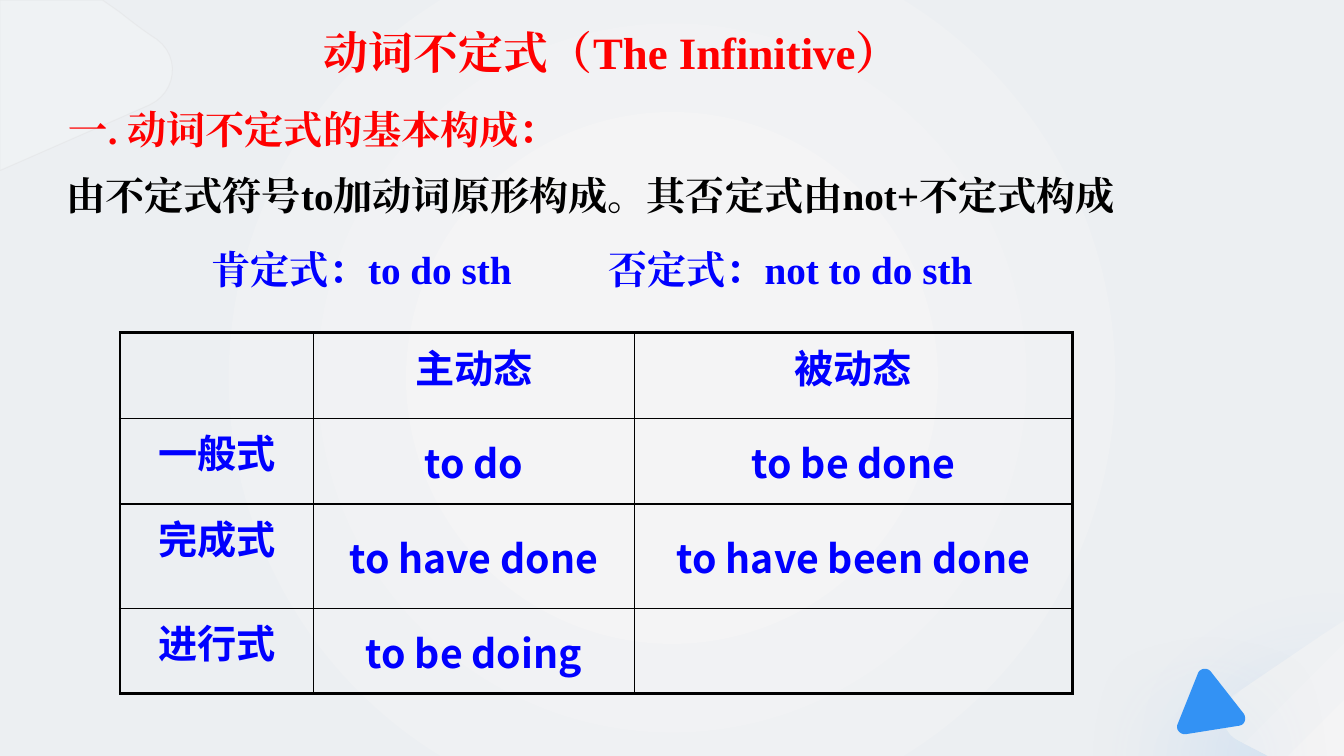
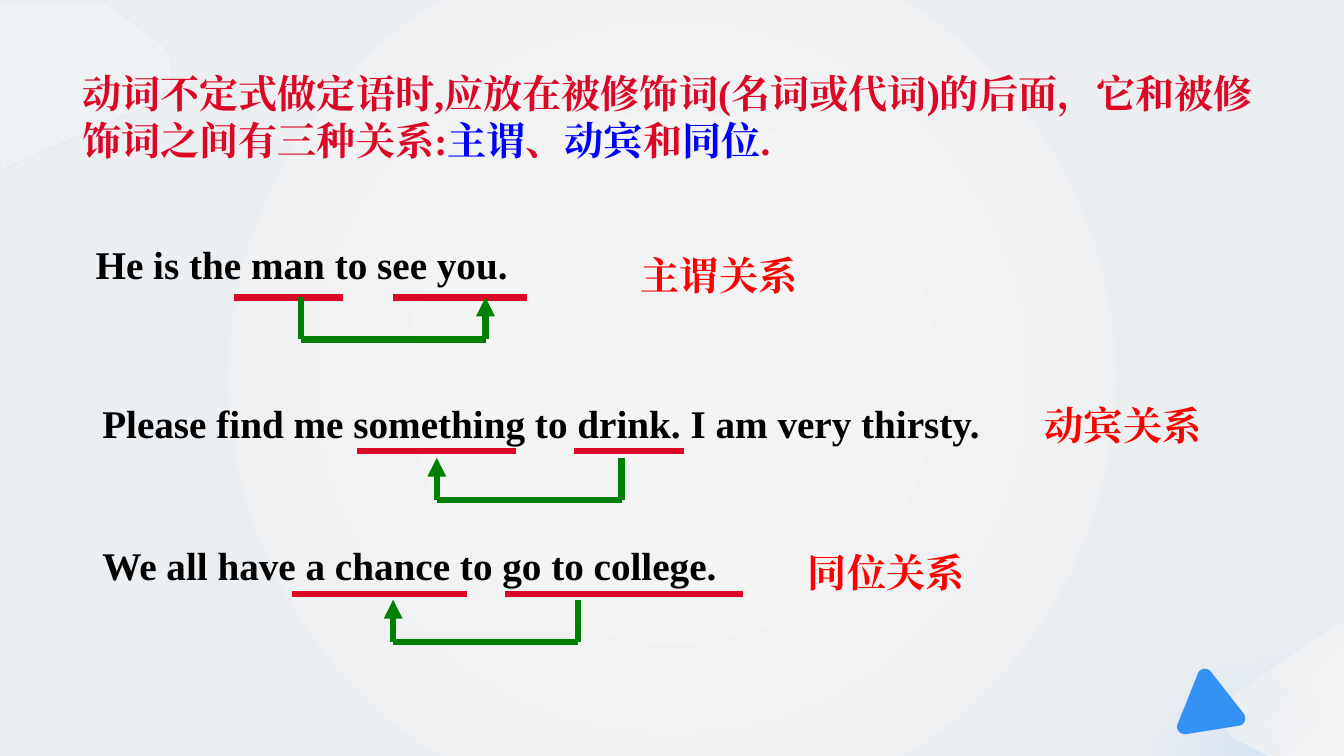
"""Build two grammar slides on the infinitive, laid out on a grid of 160 columns by 90 rows."""
import dataclasses

import lxml.etree
import pptx
import pptx.dml.color
import pptx.enum.shapes
import pptx.enum.text
import pptx.oxml
import pptx.oxml.ns
import pptx.util


@dataclasses.dataclass(frozen=True)
class Theme:
    red: str = "FF0000"
    crimson: str = "DC0726"
    blue: str = "0000FF"
    green: str = "008000"
    black: str = "000000"
    white: str = "FFFFFF"
    edge: str = "D0CECE"
    accent: str = "3392F4"
    accent_dark: str = "0C77E2"
    light: str = "F4F4F5"
    mist: str = "ECEFF2"
    serif: str = "Times New Roman"
    sans: str = "Noto Sans CJK SC"
    title: int = 32
    body: int = 28
    stroke: float = 4.5
    thick: float = 2.25
    thin: float = 1


T = Theme()
RGB = pptx.dml.color.RGBColor.from_string
Pt = pptx.util.Pt
qn = pptx.oxml.ns.qn
NS = pptx.oxml.ns.nsdecls("a")
ALIGN = pptx.enum.text.PP_ALIGN
ANCHOR = pptx.enum.text.MSO_ANCHOR

prs = pptx.Presentation()
prs.slide_width = pptx.util.Emu(12192000)
prs.slide_height = pptx.util.Emu(6858000)
U = prs.slide_width // 160


def write(tf, runs, size=T.body, font=T.serif, align=ALIGN.LEFT):
    """Fill the first paragraph of a text frame with (text, colour) runs."""
    p = tf.paragraphs[0]
    p.alignment = align
    for text, color in runs:
        r = p.add_run()
        r.text = text
        r.font.size = Pt(size)
        r.font.bold = True
        r.font.color.rgb = RGB(color)
        r.font.name = font
        lxml.etree.SubElement(r.font._element, qn("a:ea"), typeface=font)
    return p


def line(shapes, x1, y1, x2, y2, color, arrow=False):
    """Draw a straight stroke between two grid points."""
    ends = [int(v * U) for v in (x1, y1, x2, y2)]
    cxn = shapes.add_connector(pptx.enum.shapes.MSO_CONNECTOR.STRAIGHT, *ends)
    cxn.line.color.rgb = RGB(color)
    cxn.line.width = Pt(T.stroke)
    spPr = cxn.element.spPr
    if arrow:
        lxml.etree.SubElement(spPr.find(qn("a:ln")), qn("a:tailEnd"), type="triangle")
    lxml.etree.SubElement(spPr, qn("a:effectLst"))


layout = prs.slide_layouts[6]
for ph in list(layout.placeholders):
    ph.element.getparent().remove(ph.element)
s1, s2 = [prs.slides.add_slide(layout) for _ in range(2)]

backdrop = s1.shapes.add_shape(pptx.enum.shapes.MSO_SHAPE.RECTANGLE, 0, 0, prs.slide_width, prs.slide_height)
backdrop.shadow.inherit = False
backdrop.line.fill.background()
backdrop.fill.gradient()
stops = "".join(
    f'<a:gs pos="{pos}000"><a:srgbClr val="{color}"/></a:gs>'
    for pos, color in ((0, T.light), (23, T.light), (69, T.mist), (100, T.mist))
)
spPr = backdrop.element.spPr
spPr.replace(spPr.find(qn("a:gradFill")), pptx.oxml.parse_xml(
    f'<a:gradFill {NS}><a:gsLst>{stops}</a:gsLst><a:path path="circle">'
    '<a:fillToRect l="50000" t="50000" r="50000" b="50000"/></a:path></a:gradFill>'))

outlines = [
    [(0, 0), (12.2, 0), (14.2, 1.4), (15.6, 2.5, 17, 3.6, 18.7, 4.7),
     (21.5, 6.8, 21, 11, 17.8, 12.5), (2.3, 19.3), (0, 20.3)],
    [(160, 73.9), (160, 90), (151, 90), (147.5, 88.2),
     (145.2, 87.1, 145, 84, 147.1, 82.6), (157.4, 75.6)],
    [(142.6, 80.2), (140.2, 86.2), (139.9, 86.8, 140.5, 87.5, 141.2, 87.4),
     (147.5, 86.4), (148.2, 86.3, 148.4, 85.6, 148.1, 85), (144.1, 79.9),
     (143.6, 79.4, 142.8, 79.6, 142.6, 80.2)],
]
decor = []
for outline in outlines:
    points = [outline[0]]
    for step in outline[1:]:
        if len(step) == 2:
            points.append(step)
            continue
        x0, y0 = points[-1]
        x1, y1, x2, y2, x3, y3 = step
        for t in [i / 12 for i in range(1, 13)]:
            a, b, c, d = (1 - t) ** 3, 3 * t * (1 - t) ** 2, 3 * t * t * (1 - t), t ** 3
            points.append((a * x0 + b * x1 + c * x2 + d * x3, a * y0 + b * y1 + c * y2 + d * y3))
    points = [(round(x * U), round(y * U)) for x, y in points]
    builder = s1.shapes.build_freeform(*points[0])
    builder.add_line_segments(points[1:], close=True)
    sp = builder.convert_to_shape()
    sp.shadow.inherit = False
    sp.line.fill.background()
    decor.append(sp)

corner, wedge, triangle = decor
corner.fill.solid()
corner.fill.fore_color.rgb = RGB(T.white)
corner.line.color.rgb = RGB(T.edge)
corner.line.width = Pt(0.75)
for clr in list(corner.element.spPr.iter(qn("a:srgbClr"))):
    lxml.etree.SubElement(clr, qn("a:alpha"), val="20000")
wedge.fill.gradient()
wedge.fill.gradient_angle = 315
for stop, pos, color in zip(wedge.fill.gradient_stops, (0.12, 1), (T.mist, T.light)):
    stop.position = pos
    stop.color.rgb = RGB(color)
triangle.fill.solid()
triangle.fill.fore_color.rgb = RGB(T.accent)
for sp, color in ((wedge, T.accent), (triangle, T.accent_dark)):
    sp.element.spPr.find(qn("a:effectLst")).append(pptx.oxml.parse_xml(
        f'<a:outerShdw {NS} blurRad="{Pt(84)}" dist="{Pt(34)}" dir="5400000" algn="t" rotWithShape="0">'
        f'<a:srgbClr val="{color}"><a:alpha val="20000"/></a:srgbClr></a:outerShdw>'))
for sp in [backdrop] + decor:
    layout.shapes.element.append(sp.element)

sentences = [
    ("He is the man to see you.", 10.2, 28, "主谓关系", 75.1, 29.3,
     35.4, [(27.8, 40.8), (46.8, 62.8)], 35.4, 35.8, 57.8),
    ("Please find me something to drink. I am very thirsty.", 11, 46.9, "动宾关系", 123.2, 47.2,
     53.7, [(42.5, 61.4), (68.3, 81.4)], 54.5, 74, 52),
    ("We all have a chance to go to college.", 11, 63.8, "同位关系", 95, 64.7,
     70.7, [(34.8, 55.6), (60.1, 88.4)], 71.4, 68.8, 46.8),
]
boxes = [
    (s1, 7, 12, 70, 6.8, [("一. 动词不定式的基本构成：", T.red)]),
    (s1, 6.7, 19.8, 140, 6.8, [("由不定式符号to加动词原形构成。其否定式由not+不定式构成", T.black)]),
    (s1, 24, 28.6, 44, 6.8, [("肯定式：to do sth", T.blue)]),
    (s1, 71.2, 28.6, 64, 6.8, [("否定式：not to do sth", T.blue)]),
    (s2, 8.6, 7.7, 146.2, 12.5, [
        ("动词不定式做定语时,应放在被修饰词(名词或代词)的后面，它和被修饰词之间有三种关系:", T.crimson),
        ("主谓", T.blue), ("、", T.crimson), ("动宾", T.blue), ("和", T.crimson),
        ("同位", T.blue), (".", T.crimson)]),
]
for text, x, y, relation, rx, ry, *_ in sentences:
    boxes.append((s2, x, y, 110, 6.8, [(text, T.black)]))
    boxes.append((s2, rx, ry, 28, 6.8, [(relation, T.red)]))
for s, *box, runs in boxes:
    tf = s.shapes.add_textbox(*[int(v * U) for v in box]).text_frame
    tf.word_wrap = True
    write(tf, runs)

tf = s1.shapes.add_textbox(*[int(v * U) for v in (1.6, 1, 142.6, 9)]).text_frame
tf.word_wrap = True
tf.vertical_anchor = ANCHOR.BOTTOM
write(tf, [("动词不定式（The Infinitive）", T.red)], T.title, align=ALIGN.CENTER).line_spacing = 0.9

rows = [
    ("", "主动态", "被动态"),
    ("一般式", "to do", "to be done"),
    ("完成式", "to have done", "to have been done"),
    ("进行式", "to be doing", ""),
]
widths = (23, 38.2, 52.2)
heights = (10.2, 10.2, 12.4, 10.2)
frame = [int(v * U) for v in (14.3, 39.6, sum(widths), sum(heights))]
table = s1.shapes.add_table(len(rows), len(widths), *frame).table
table.first_row = table.horz_banding = False
for column, width in zip(table.columns, widths):
    column.width = int(width * U)
for i, row in enumerate(rows):
    table.rows[i].height = int(heights[i] * U)
    for j, text in enumerate(row):
        cell = table.cell(i, j)
        cell.fill.background()
        cell.vertical_anchor = ANCHOR.MIDDLE if i and j else ANCHOR.TOP
        if text:
            write(cell.text_frame, [(text, T.blue)], font=T.sans, align=ALIGN.CENTER)
        outer = {"lnL": j == 0, "lnR": j == len(row) - 1, "lnT": i == 0, "lnB": i == len(rows) - 1}
        for k, (side, is_outer) in enumerate(outer.items()):
            cell._tc.get_or_add_tcPr().insert(k, pptx.oxml.parse_xml(
                f'<a:{side} {NS} w="{Pt(T.thick if is_outer else T.thin)}">'
                f'<a:solidFill><a:srgbClr val="{T.black}"/></a:solidFill></a:{side}>'))

for *_, underline_y, underlines, top, start, end in sentences:
    for left, right in underlines:
        line(s2.shapes, left, underline_y, right, underline_y, T.crimson)
    bracket = s2.shapes.add_group_shape().shapes
    bottom = top + 5
    line(bracket, start, top, start, bottom, T.green)
    line(bracket, start, bottom, end, bottom, T.green)
    line(bracket, end, bottom, end, top, T.green, arrow=True)

prs.save("out.pptx")
